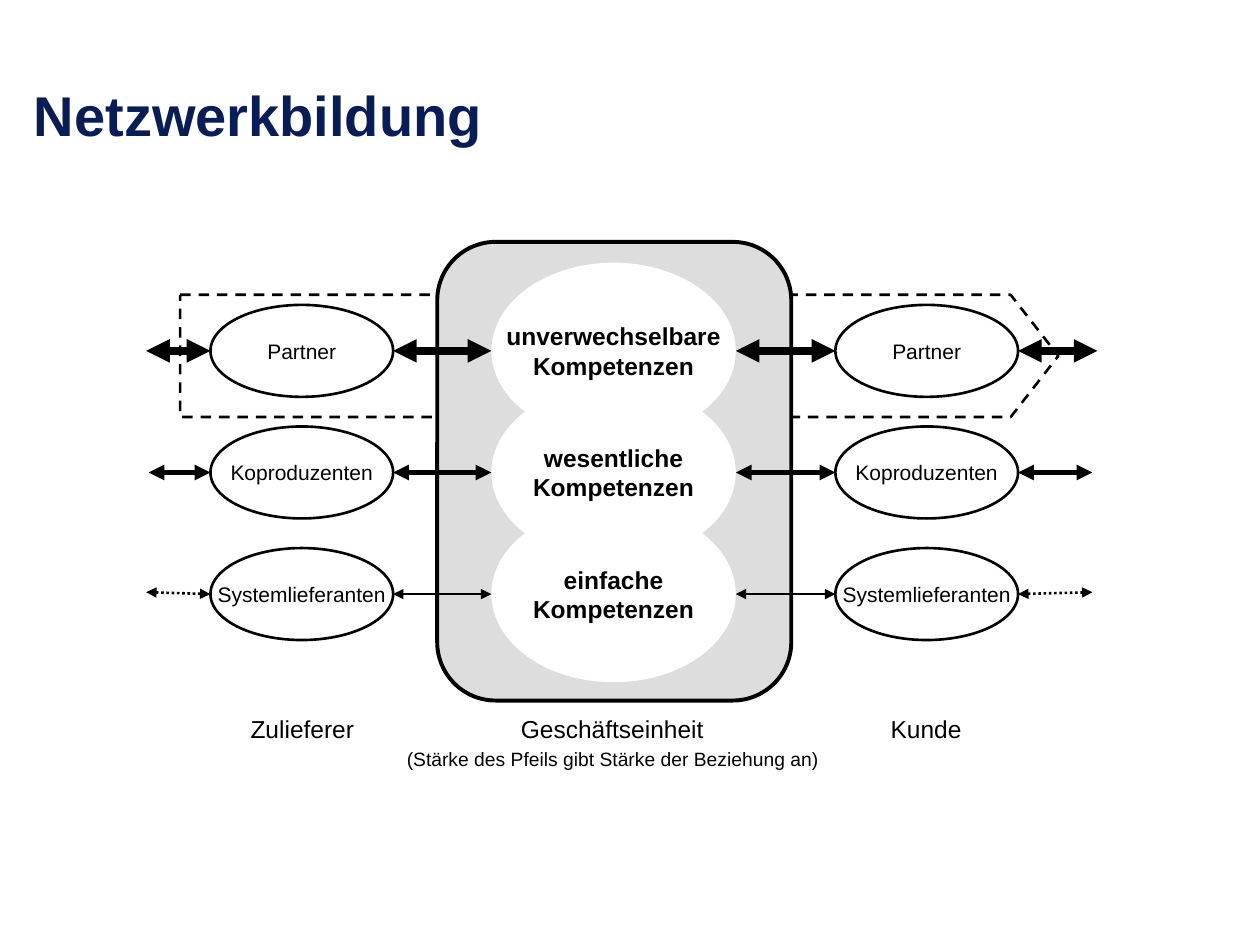
from collections import namedtuple
from lxml import etree
from pptx import Presentation, util as u
from pptx.dml.color import RGBColor
from pptx.enum import dml, shapes, text
from pptx.oxml.ns import qn

COLORS = {"title": "081D58", "ink": "000000", "panel": "DDDDDD", "white": "FFFFFF"}
FONT = "Arial"
SLIDE_WIDTH, SLIDE_HEIGHT = u.Inches(10), u.Inches(7.5)
COLUMNS, ROWS = 100, 75

Box = namedtuple("Box", "left top width height")
Level = namedtuple("Level", "name competence weight outer_dash outer_left outer_right rise")
LEVELS = [
    Level("Partner", "unverwechselbare", 4.5, None, 11.6, 87.1, 0),
    Level("Koproduzenten", "wesentliche", 3, None, 11.8, 86.7, 0),
    Level("Systemlieferanten", "einfache", 1.5, dml.MSO_LINE.ROUND_DOT, 11.6, 86.7, 0.15),
]
PITCH = 9.65
FIRST_CENTER = 27.85
OVAL_HEIGHT, COMPETENCE_HEIGHT = 7.3, 14
SUPPLIERS = Box(16.7, FIRST_CENTER - OVAL_HEIGHT / 2, 14.5, OVAL_HEIGHT)
CUSTOMERS = SUPPLIERS._replace(left=66.3)
COMPETENCES = Box(39, FIRST_CENTER - COMPETENCE_HEIGHT / 2, 19.4, COMPETENCE_HEIGHT)
CAPTION_TOP, CAPTION_HEIGHT = 56.2, 3.4


def across(columns):
    return round(SLIDE_WIDTH * columns / COLUMNS)


def down(rows):
    return round(SLIDE_HEIGHT * rows / ROWS)


def place(box):
    return across(box.left), down(box.top), across(box.width), down(box.height)


def color(name):
    return RGBColor.from_string(COLORS[name])


def style_line(line, weight, dash=None):
    line.color.rgb = color("ink")
    line.width = u.Pt(weight)
    if dash:
        line.dash_style = dash


def write(shape, lines, size, ink="ink", bold=False, align=text.PP_ALIGN.CENTER,
          anchor=text.MSO_ANCHOR.MIDDLE, wrap=False):
    frame = shape.text_frame
    frame.word_wrap = wrap
    frame.vertical_anchor = anchor
    for index, line in enumerate(lines):
        paragraph = frame.add_paragraph() if index else frame.paragraphs[0]
        paragraph.alignment = align
        run = paragraph.add_run()
        run.text = line
        run.font.name = FONT
        run.font.size = u.Pt(size)
        run.font.bold = bold
        run.font.color.rgb = color(ink)


def add_shape(slide, kind, box, fill=None, weight=None, dash=None):
    shape = slide.shapes.add_shape(kind, *place(box))
    shape.shadow.inherit = False
    if fill:
        shape.fill.solid()
        shape.fill.fore_color.rgb = color(fill)
    else:
        shape.fill.background()
    if weight:
        style_line(shape.line, weight, dash)
    else:
        shape.line.fill.background()
    return shape


def add_double_arrow(slide, start, end, weight, dash=None):
    arrow = slide.shapes.add_connector(
        shapes.MSO_CONNECTOR.STRAIGHT,
        across(start[0]), down(start[1]), across(end[0]), down(end[1]))
    style_line(arrow.line, weight, dash)
    line = arrow.line._get_or_add_ln()
    for tag in ("a:headEnd", "a:tailEnd"):
        etree.SubElement(line, qn(tag), type="triangle")
    etree.SubElement(arrow._element.spPr, qn("a:effectLst"))


def draw_title(slide, box):
    title = slide.shapes.add_textbox(*place(box))
    write(title, ["Netzwerkbildung"], 32, "title", True,
          text.PP_ALIGN.LEFT, text.MSO_ANCHOR.BOTTOM, True)


def draw_caption(slide, box, wording, size):
    caption = slide.shapes.add_textbox(*place(box))
    write(caption, [wording], size, anchor=text.MSO_ANCHOR.TOP)
    caption.text_frame.auto_size = text.MSO_AUTO_SIZE.SHAPE_TO_FIT_TEXT


def draw_partnership_band(slide, box):
    band = add_shape(slide, shapes.MSO_SHAPE.PENTAGON, box,
                     weight=1.5, dash=dml.MSO_LINE.DASH)
    band.adjustments[0] = 0.39


def draw_business_unit(slide, box):
    panel = add_shape(slide, shapes.MSO_SHAPE.ROUNDED_RECTANGLE, box, "panel", 2.25)
    panel.adjustments[0] = 0.165
    for index, level in enumerate(LEVELS):
        oval_box = COMPETENCES._replace(top=COMPETENCES.top + index * PITCH)
        oval = add_shape(slide, shapes.MSO_SHAPE.OVAL, oval_box, "white")
        write(oval, [level.competence, "Kompetenzen"], 14, bold=True)


def draw_partner_column(slide, box):
    for index, level in enumerate(LEVELS):
        oval_box = box._replace(top=box.top + index * PITCH)
        oval = add_shape(slide, shapes.MSO_SHAPE.OVAL, oval_box, weight=1.5)
        write(oval, [level.name], 12)


def draw_relationships(slide, left, middle, right):
    for index, level in enumerate(LEVELS):
        center = FIRST_CENTER + index * PITCH
        outer = center - level.rise
        for start, end in ((left, middle), (middle, right)):
            add_double_arrow(slide, (start.left + start.width, center),
                             (end.left, center), level.weight)
        add_double_arrow(slide, (level.outer_left, outer), (left.left, center),
                         level.weight, level.outer_dash)
        add_double_arrow(slide, (right.left + right.width, center),
                         (level.outer_right, outer), level.weight, level.outer_dash)


def main():
    presentation = Presentation()
    presentation.slide_width, presentation.slide_height = SLIDE_WIDTH, SLIDE_HEIGHT
    slide = presentation.slides.add_slide(presentation.slide_layouts[6])
    draw_title(slide, Box(1.7, 1.25, 96.4, 11))
    draw_partnership_band(slide, Box(14.3, 23.4, 69.7, 9.7))
    draw_business_unit(slide, Box(34.7, 19.2, 28.1, 36.4))
    draw_partner_column(slide, SUPPLIERS)
    draw_partner_column(slide, CUSTOMERS)
    draw_relationships(slide, SUPPLIERS, COMPETENCES, CUSTOMERS)
    for left, width, wording in ((18.6, 10.8, "Zulieferer"),
                                 (40.1, 17, "Geschäftseinheit"),
                                 (69.3, 8.4, "Kunde")):
        draw_caption(slide, Box(left, CAPTION_TOP, width, CAPTION_HEIGHT), wording, 14)
    draw_caption(slide, Box(31.1, 58.8, 35.1, 2.9),
                 "(Stärke des Pfeils gibt Stärke der Beziehung an)", 11)
    presentation.save("out.pptx")


if __name__ == "__main__":
    main()
